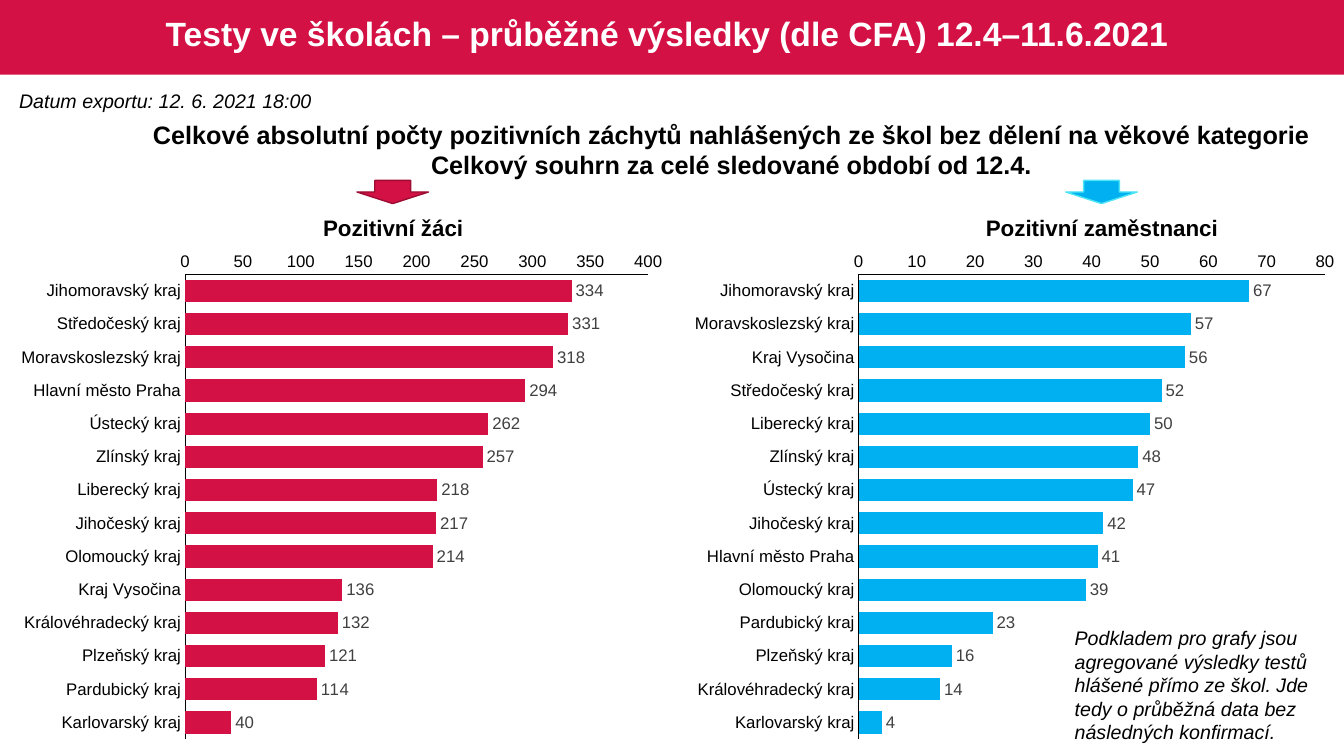
from dataclasses import dataclass

from lxml import etree
from pptx import Presentation
from pptx.chart.data import CategoryChartData
from pptx.dml.color import RGBColor
from pptx.enum.chart import XL_CHART_TYPE, XL_LABEL_POSITION, XL_TICK_MARK
from pptx.enum.shapes import MSO_SHAPE
from pptx.enum.text import MSO_ANCHOR, PP_ALIGN
from pptx.oxml import parse_xml
from pptx.oxml.ns import nsdecls, qn
from pptx.util import Inches, Pt

COLUMNS, ROWS = 133.3, 75


def cells(count):
    return Inches(count * 0.1)


@dataclass(frozen=True)
class Theme:
    font: str = "Arial"
    crimson: str = "D31145"
    crimson_edge: str = "9C0D33"
    sky: str = "00B0F0"
    sky_edge: str = "4DE5F5"
    ink: str = "000000"
    label: str = "404040"
    white: str = "FFFFFF"
    title: int = 24
    heading: int = 18
    caption: int = 16
    note: int = 14
    axis: int = 12


@dataclass(frozen=True)
class Box:
    left: float
    top: float
    width: float
    height: float

    def inner(self, left, top, width, height):
        return Box(self.left + left, self.top + top, width, height)

    def place(self):
        return [cells(n) for n in (self.left, self.top, self.width, self.height)]


THEME = Theme()


def color(code):
    return RGBColor.from_string(code)


def style_font(font, size, code, bold=False, italic=False):
    font.name, font.size = THEME.font, Pt(size)
    font.bold, font.italic = bold, italic
    font.color.rgb = color(code)


def add_text(slide, box, *lines, size, code=THEME.ink, bold=False, italic=False,
             align=PP_ALIGN.LEFT, anchor=MSO_ANCHOR.TOP, wrap=True, spacing=1.0):
    frame = slide.shapes.add_textbox(*box.place()).text_frame
    frame.word_wrap = wrap
    frame.vertical_anchor = anchor
    for number, line in enumerate(lines):
        paragraph = frame.add_paragraph() if number else frame.paragraphs[0]
        paragraph.alignment = align
        paragraph.line_spacing = spacing
        run = paragraph.add_run()
        run.text = line
        style_font(run.font, size, code, bold, italic)


def add_filled(slide, kind, box, fill, edge=None):
    shape = slide.shapes.add_shape(kind, *box.place())
    shape.shadow.inherit = False
    shape.fill.solid()
    shape.fill.fore_color.rgb = color(fill)
    if edge:
        shape.line.color.rgb = color(edge)
        shape.line.width = Pt(1)
    else:
        shape.line.fill.background()


def set_plot_area(chart, left, top, width, height):
    plot_area = chart._chartSpace.chart.plotArea
    for old in plot_area.findall(qn("c:layout")):
        plot_area.remove(old)
    layout = parse_xml(f"<c:layout {nsdecls('c')}/>")
    manual = etree.SubElement(layout, qn("c:manualLayout"))
    settings = [("layoutTarget", "inner"), ("xMode", "edge"), ("yMode", "edge"),
                ("x", left), ("y", top), ("w", width), ("h", height)]
    for tag, value in settings:
        etree.SubElement(manual, qn(f"c:{tag}")).set("val", str(value))
    plot_area.insert(0, layout)


def add_bars(slide, box, counts, fill, maximum, step, plot_width):
    data = CategoryChartData()
    data.categories = list(counts)
    data.add_series("Series 1", list(counts.values()))
    chart = slide.shapes.add_chart(XL_CHART_TYPE.BAR_CLUSTERED, *box.place(), data).chart
    chart.has_legend = chart.has_title = False
    style_font(chart.font, 10, THEME.ink)
    for axis in (chart.category_axis, chart.value_axis):
        axis.has_major_gridlines = False
        axis.major_tick_mark = axis.minor_tick_mark = XL_TICK_MARK.NONE
        axis.format.line.color.rgb = color(THEME.ink)
        axis.format.line.width = Pt(0.75)
        style_font(axis.tick_labels.font, THEME.axis, THEME.ink)
    chart.category_axis.reverse_order = True
    chart.value_axis.minimum_scale = 0
    chart.value_axis.maximum_scale = maximum
    chart.value_axis.major_unit = step

    plot = chart.plots[0]
    plot.gap_width = 50
    plot.vary_by_categories = False
    bars = plot.series[0]
    bars.format.fill.solid()
    bars.format.fill.fore_color.rgb = color(fill)
    labels = bars.data_labels
    labels.show_value = True
    labels.position = XL_LABEL_POSITION.OUTSIDE_END
    style_font(labels.font, THEME.axis, THEME.label)
    set_plot_area(chart, 0.264, 0.062, plot_width, 0.917)


def header(slide, box):
    add_filled(slide, MSO_SHAPE.RECTANGLE, box, THEME.crimson)
    add_text(slide, box.inner(1.3, 0.4, box.width - 3.6, 6.3),
             "Testy ve školách – průběžné výsledky (dle CFA) 12.4–11.6.2021",
             size=THEME.title, code=THEME.white, bold=True, align=PP_ALIGN.CENTER,
             anchor=MSO_ANCHOR.MIDDLE, spacing=0.9)


def introduction(slide, box):
    add_text(slide, box.inner(0, 0, 31.2, 3.4), "Datum exportu: 12. 6. 2021 18:00",
             size=THEME.note, italic=True, wrap=False)
    add_text(slide, box.inner(12.7, 3, 117.9, 7.1),
             "Celkové absolutní počty pozitivních záchytů nahlášených ze škol"
             " bez dělení na věkové kategorie",
             "Celkový souhrn za celé sledované období od 12.4.",
             size=THEME.heading, bold=True, align=PP_ALIGN.CENTER, wrap=False)


def panel(slide, box, caption, counts, center, fill, edge, **scale):
    add_bars(slide, box.inner(0, 6.2, box.width, box.height - 6.2), counts, fill, **scale)
    add_text(slide, box.inner(center - 12.7, 2.9, 25.4, 3.7), caption, size=THEME.caption,
             bold=True, align=PP_ALIGN.CENTER, wrap=False)
    add_filled(slide, MSO_SHAPE.DOWN_ARROW, box.inner(center - 3.6, 0, 7.1, 2.3), fill, edge)


def note(slide, box):
    add_text(slide, box,
             "Podkladem pro grafy jsou agregované výsledky testů hlášené přímo ze škol."
             " Jde tedy o průběžná data bez následných konfirmací.",
             size=THEME.note, italic=True)


PUPILS = {
    "Jihomoravský kraj": 334, "Středočeský kraj": 331, "Moravskoslezský kraj": 318,
    "Hlavní město Praha": 294, "Ústecký kraj": 262, "Zlínský kraj": 257,
    "Liberecký kraj": 218, "Jihočeský kraj": 217, "Olomoucký kraj": 214,
    "Kraj Vysočina": 136, "Královéhradecký kraj": 132, "Plzeňský kraj": 121,
    "Pardubický kraj": 114, "Karlovarský kraj": 40,
}
STAFF = {
    "Jihomoravský kraj": 67, "Moravskoslezský kraj": 57, "Kraj Vysočina": 56,
    "Středočeský kraj": 52, "Liberecký kraj": 50, "Zlínský kraj": 48,
    "Ústecký kraj": 47, "Jihočeský kraj": 42, "Hlavní město Praha": 41,
    "Olomoucký kraj": 39, "Pardubický kraj": 23, "Plzeňský kraj": 16,
    "Královéhradecký kraj": 14, "Karlovarský kraj": 4,
}


def main():
    deck = Presentation()
    deck.slide_width, deck.slide_height = cells(COLUMNS), cells(ROWS)
    slide = deck.slides.add_slide(deck.slide_layouts[6])
    header(slide, Box(0, 0, COLUMNS, 7.4))
    pupils = Box(0.9, 17.9, 66.1, 56.5)
    panel(slide, pupils, "Pozitivní žáci", PUPILS, 38.1, THEME.crimson,
          THEME.crimson_edge, maximum=400, step=50, plot_width=0.695)
    panel(slide, pupils.inner(66.8, 0, pupils.width, pupils.height), "Pozitivní zaměstnanci",
          STAFF, 41.6, THEME.sky, THEME.sky_edge, maximum=80, step=10, plot_width=0.7)
    introduction(slide, Box(0.9, 8.3, 130.6, 10.1))
    note(slide, Box(105.6, 61.6, 29.1, 12.8))
    deck.save("out.pptx")


if __name__ == "__main__":
    main()
